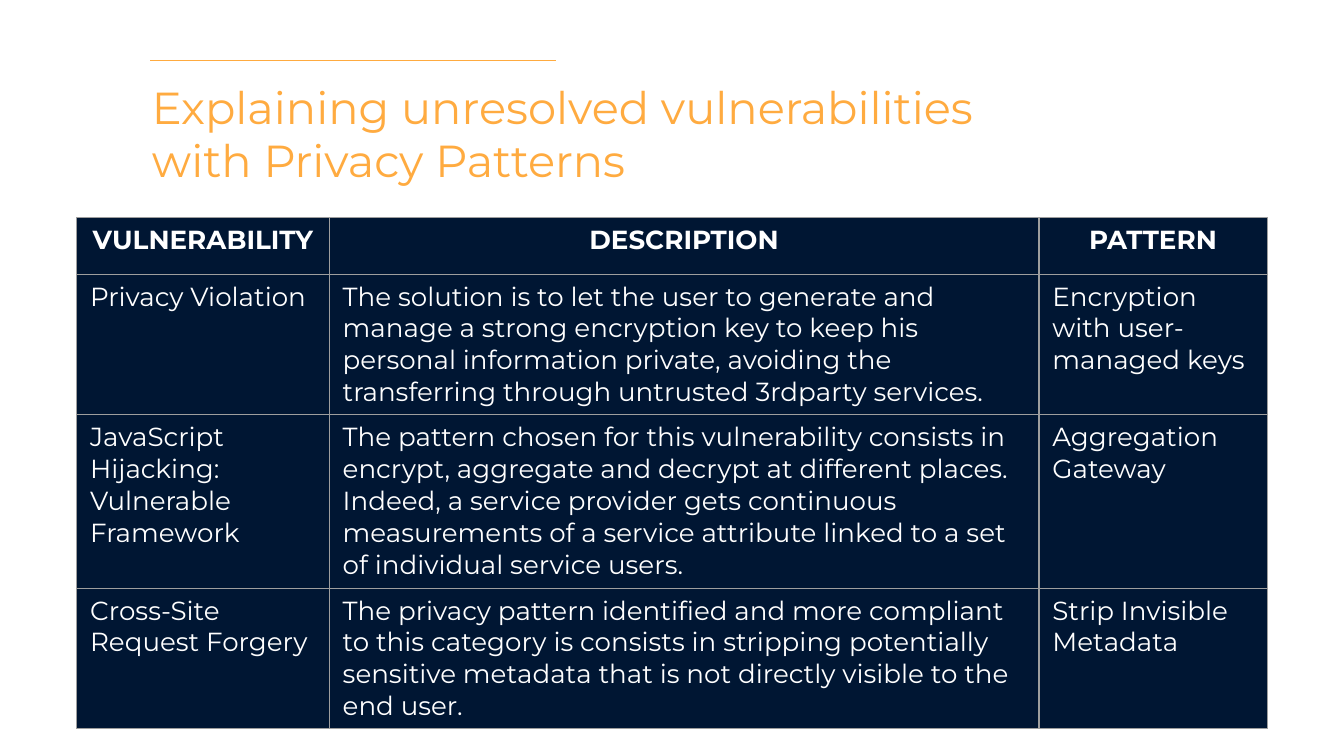
from lxml.etree import SubElement
from pptx import Presentation
from pptx.dml.color import RGBColor
from pptx.enum.shapes import MSO_CONNECTOR
from pptx.enum.text import MSO_ANCHOR, MSO_AUTO_SIZE, PP_ALIGN
from pptx.oxml.ns import qn
from pptx.util import Inches, Pt

# Content
TITLE = "Explaining unresolved vulnerabilities with Privacy Patterns"
ROWS = [
    ("VULNERABILITY", "DESCRIPTION", "PATTERN"),
    ("Privacy Violation",
     "The solution is to let the user to generate and manage a strong "
     "encryption key to keep his personal information private, avoiding the "
     "transferring through untrusted 3rdparty services.",
     "Encryption with user-managed keys"),
    ("JavaScript Hijacking: Vulnerable Framework",
     "The pattern chosen for this vulnerability consists in encrypt, "
     "aggregate and decrypt at different places. Indeed, a service provider "
     "gets continuous measurements of a service attribute linked to a set of "
     "individual service users.",
     "Aggregation Gateway"),
    ("Cross-Site Request Forgery",
     "The privacy pattern identified and more compliant to this category is "
     "consists in stripping potentially sensitive metadata that is not "
     "directly visible to the end user.",
     "Strip Invisible Metadata"),
]
WIDTHS = (1.88, 5.28, 1.7)
HEIGHTS = (0.42, 0.95, 1.29, 0.95)

# Style
FONT = "Montserrat"
ORANGE = RGBColor(0xFF, 0xAB, 0x40)
NAVY = RGBColor(0x00, 0x16, 0x33)
WHITE = RGBColor(0xFF, 0xFF, 0xFF)
GRAY = RGBColor(0x9E, 0x9E, 0x9E)


def add_run(para, text, size, color, bold=False):
    run = para.add_run()
    run.text = text
    font = run.font
    font.name, font.size, font.bold = FONT, Pt(size), bold
    font.color.rgb = color


def add_edges(cell):
    props = cell._tc.get_or_add_tcPr()
    for side in ("lnL", "lnR", "lnT", "lnB"):
        line = SubElement(props, qn(f"a:{side}"), w=str(Pt(0.75)))
        fill = SubElement(line, qn("a:solidFill"))
        SubElement(fill, qn("a:srgbClr"), val=str(GRAY))


# Slide in 16:9
deck = Presentation()
deck.slide_width = Inches(10)
deck.slide_height = Inches(10) * 9 // 16
slide = deck.slides.add_slide(deck.slide_layouts[5])

# Title
title = slide.shapes.title
title.left, title.top = Inches(1.03), Inches(0.49)
title.width, title.height = Inches(6.89), Inches(1.23)
frame = title.text_frame
frame.word_wrap = True
frame.auto_size = MSO_AUTO_SIZE.NONE
frame.vertical_anchor = MSO_ANCHOR.TOP
frame.margin_left = frame.margin_right = Inches(0.1)
frame.margin_top = frame.margin_bottom = Inches(0.1)
para = frame.paragraphs[0]
para.alignment = PP_ALIGN.LEFT
add_run(para, TITLE, 24, ORANGE)

# Rule above the title
rule = slide.shapes.add_connector(
    MSO_CONNECTOR.STRAIGHT, Inches(1.12), Inches(0.45), Inches(4.14), Inches(0.45))
rule.line.color.rgb = ORANGE
rule.line.width = Pt(0.75)
SubElement(rule._element.spPr, qn("a:effectLst"))

# Table
table = slide.shapes.add_table(
    len(ROWS), len(WIDTHS), Inches(0.57), Inches(1.62),
    Inches(sum(WIDTHS)), Inches(sum(HEIGHTS))).table
table.first_row = table.horz_banding = False
for col, width in zip(table.columns, WIDTHS):
    col.width = Inches(width)
for row, height in zip(table.rows, HEIGHTS):
    row.height = Inches(height)

for r, texts in enumerate(ROWS):
    head = r == 0
    for c, text in enumerate(texts):
        cell = table.cell(r, c)
        add_edges(cell)
        cell.fill.solid()
        cell.fill.fore_color.rgb = NAVY
        para = cell.text_frame.paragraphs[0]
        para.alignment = PP_ALIGN.CENTER if head else PP_ALIGN.LEFT
        add_run(para, text, 14, WHITE, head)

deck.save("out.pptx")
